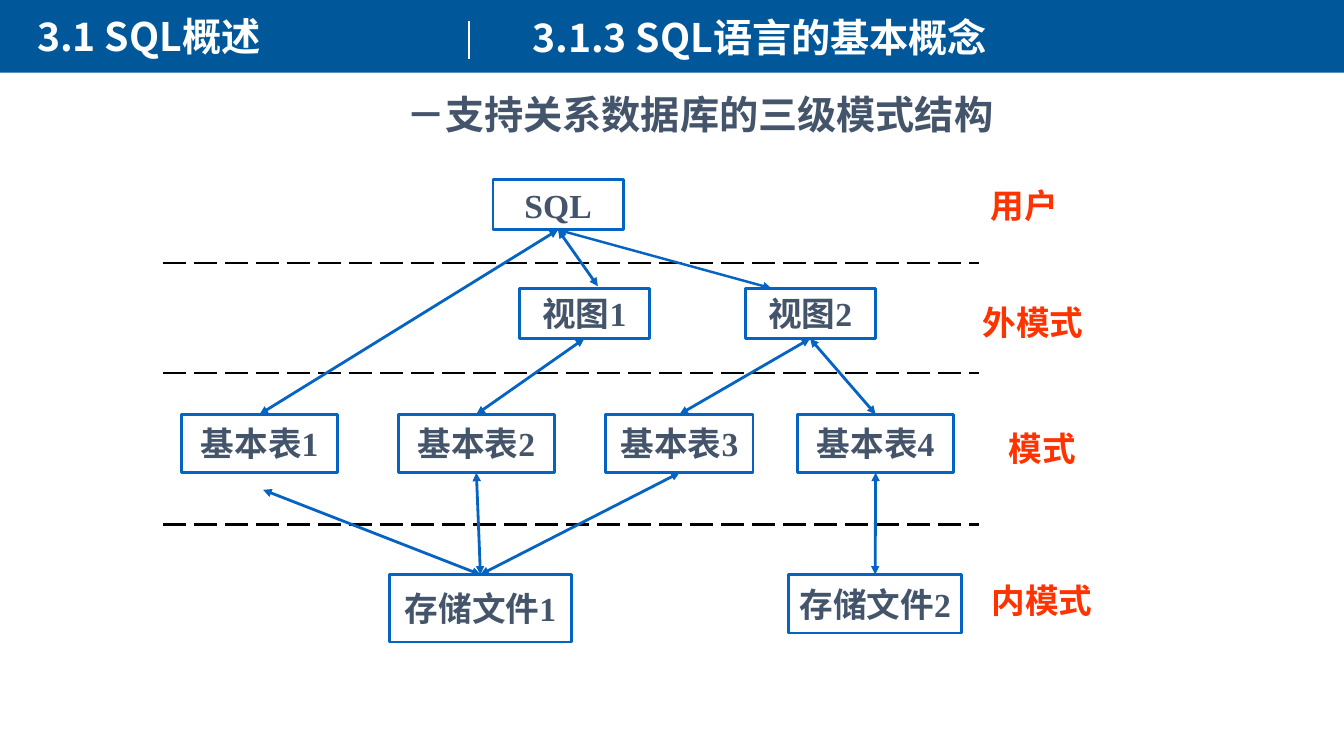
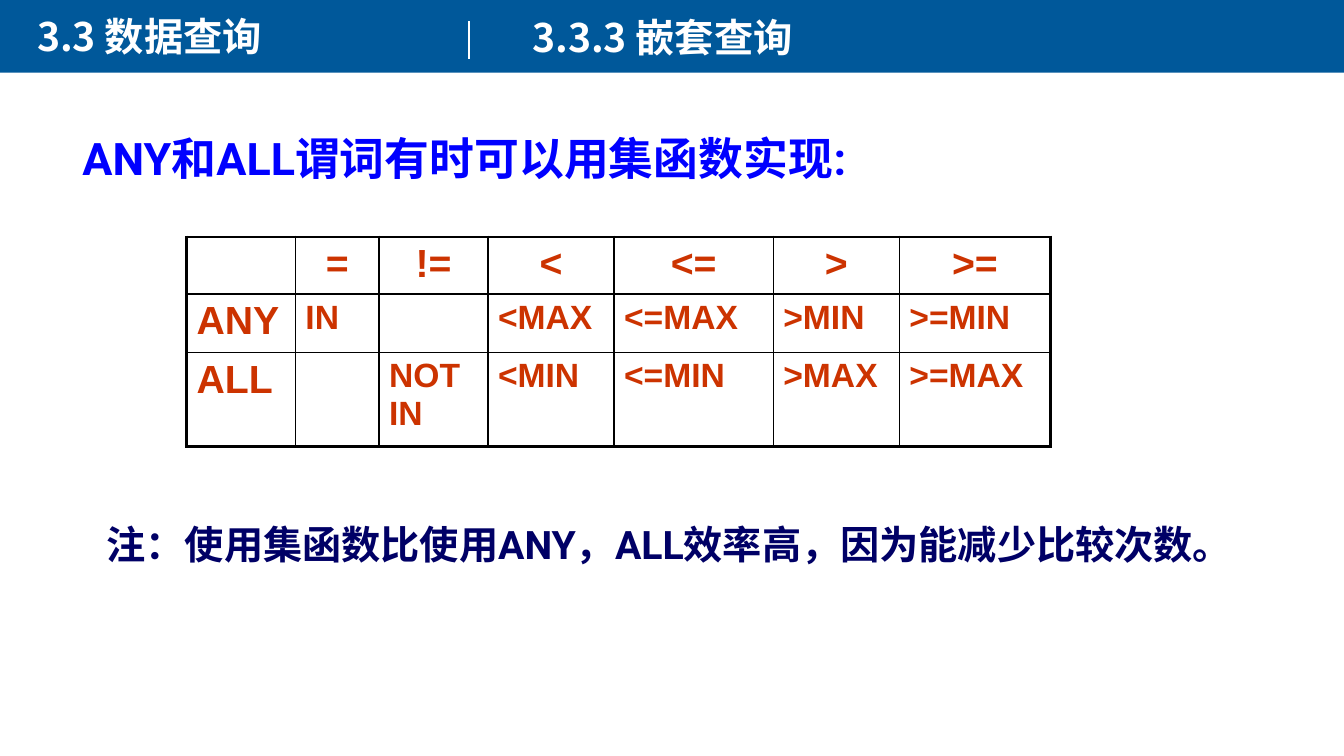
from lxml import etree
from pptx import Presentation
from pptx.dml.color import RGBColor
from pptx.enum.dml import MSO_LINE as Dash
from pptx.enum.shapes import MSO_CONNECTOR as Conn, MSO_SHAPE as Shape
from pptx.enum.text import MSO_ANCHOR as Anchor, PP_ALIGN as Align
from pptx.oxml.ns import qn
from pptx.util import Inches, Pt

# Shared look
WHITE, BLACK, BAND = "FFFFFF", "000000", "00589A"
SLATE, BLUE, RED, RUST = "44546A", "0563C1", "FF3300", "CC3300"
SANS, SERIF = "Noto Sans CJK SC", "Times New Roman"


def rgb(code):
    return RGBColor.from_string(code)


def style(para, size, color, face, align=None):
    font = para.font
    font.size, font.bold, font.name = Pt(size), True, face
    font.color.rgb = rgb(color)
    etree.SubElement(font._element, qn("a:ea")).set("typeface", SANS)
    if align is not None:
        para.alignment = align


def label(slide, text, area, size, color, face, align=None, wrap=True):
    frame = slide.shapes.add_textbox(*map(Inches, area)).text_frame
    frame.word_wrap = wrap
    if align is not None:
        frame.vertical_anchor = Anchor.MIDDLE
    para = frame.paragraphs[0]
    para.text = text
    style(para, size, color, face, align)
    return para


def block(slide, area):
    shape = slide.shapes.add_shape(Shape.RECTANGLE, *map(Inches, area))
    shape.shadow.inherit = False
    return shape


def line(slide, start, stop, color, width):
    ends = map(Inches, (*start, *stop))
    conn = slide.shapes.add_connector(Conn.STRAIGHT, *ends)
    conn.line.color.rgb = rgb(color)
    conn.line.width = Pt(width)
    etree.SubElement(conn._element.spPr, qn("a:effectLst"))
    return conn


def header(slide, part, topic):
    band = block(slide, (0, -0.02, 13.33, 0.74))
    band.fill.solid()
    band.fill.fore_color.rgb = rgb(BAND)
    band.line.fill.background()
    label(slide, part, (0.27, 0.07, 5.53, 0.57), 28, WHITE, SANS)
    label(slide, topic, (5.18, 0.08, 8.15, 0.57), 28, WHITE, SANS)
    line(slide, (4.65, 0.21), (4.65, 0.59), WHITE, 1.5)


# Schema diagram
def node(slide, text, area):
    shape = block(slide, area)
    shape.fill.background()
    shape.line.color.rgb = rgb(BLUE)
    shape.line.width = Pt(2)
    frame = shape.text_frame
    frame.word_wrap = False
    frame.vertical_anchor = Anchor.MIDDLE
    para = frame.paragraphs[0]
    para.text = text
    style(para, 24, SLATE, SERIF, Align.CENTER)
    return shape


def link(slide, nodes, upper, lower, width=2):
    """Join a node's bottom to a node's top; an end may also be a free point."""
    start, stop = ((0, 0) if end in nodes else end for end in (upper, lower))
    conn = line(slide, start, stop, BLUE, width)
    if upper in nodes:
        conn.begin_connect(nodes[upper], 2)
    if lower in nodes:
        conn.end_connect(nodes[lower], 0)
    pen = conn.line._get_or_add_ln()
    for tag in ("a:headEnd", "a:tailEnd"):
        etree.SubElement(pen, qn(tag)).set("type", "triangle")


def levels(slide):
    header(slide, "3.1 SQL概述", "3.1.3 SQL语言的基本概念")
    label(slide, "－支持关系数据库的三级模式结构", (3.91, 0.84, 6.06, 0.57),
          28, SLATE, SERIF, Align.CENTER, False)

    areas = {
        "SQL": (4.89, 1.78, 1.29, 0.5),
        "视图1": (5.15, 2.86, 1.29, 0.5),
        "视图2": (7.39, 2.86, 1.29, 0.5),
        "基本表1": (1.8, 4.11, 1.55, 0.58),
        "基本表2": (3.95, 4.11, 1.55, 0.58),
        "基本表3": (6.01, 4.11, 1.46, 0.58),
        "基本表4": (7.91, 4.11, 1.55, 0.58),
        "存储文件1": (3.86, 5.7, 1.81, 0.67),
        "存储文件2": (7.82, 5.7, 1.72, 0.58),
    }
    nodes = {text: node(slide, text, area) for text, area in areas.items()}

    for y in (2.61, 3.7, 5.2):
        line(slide, (1.62, y), (9.71, y), BLACK, 2).line.dash_style = Dash.LONG_DASH

    for upper, lower in (
        ("SQL", (5.93, 2.84)), ("SQL", "基本表1"),
        ("视图1", "基本表2"), ("视图2", "基本表3"), ("视图2", "基本表4"),
        ((2.61, 4.86), "存储文件1"), ("基本表2", "存储文件1"),
        ("基本表3", "存储文件1"), ("基本表4", "存储文件2"),
    ):
        link(slide, nodes, upper, lower)
    link(slide, nodes, "SQL", (7.65, 2.86), 1.75)

    for text, x, y, wide in (
        ("用户", 9.71, 1.78, 0.9), ("外模式", 9.64, 2.95, 1.21),
        ("模式", 9.9, 4.2, 0.87), ("内模式", 9.73, 5.7, 1.21),
    ):
        label(slide, text, (x, y, wide, 0.5), 24, RED, SERIF, Align.CENTER, False)


# Predicate table
def border(cell, side, width):
    pen = etree.SubElement(cell._tc.get_or_add_tcPr(), qn("a:ln" + side))
    pen.set("w", str(Pt(width)))
    fill = etree.SubElement(pen, qn("a:solidFill"))
    etree.SubElement(fill, qn("a:srgbClr")).set("val", BLACK)


def grid(slide, rows, wides, highs, left, top):
    area = map(Inches, (left, top, sum(wides), sum(highs)))
    table = slide.shapes.add_table(len(rows), len(wides), *area).table
    table.first_row = table.horz_banding = False
    for col, wide in zip(table.columns, wides):
        col.width = Inches(wide)
    for row, high in zip(table.rows, highs):
        row.height = Inches(high)
    for r, row in enumerate(rows):
        for c, text in enumerate(row):
            cell = table.cell(r, c)
            outer = {"L": c == 0, "R": c == len(wides) - 1,
                     "T": r == 0, "B": r == len(rows) - 1}
            for side, edge in outer.items():
                border(cell, side, 2.25 if edge else 1)
            cell.fill.background()
            para = cell.text_frame.paragraphs[0]
            para.text = text
            style(para, 24 if r and c else 28, RUST, "Arial",
                  Align.LEFT if r else Align.CENTER)


def nested(slide):
    header(slide, "3.3 数据查询", "3.3.3 嵌套查询")
    label(slide, "ANY和ALL谓词有时可以用集函数实现:",
          (0.72, 1.25, 8.7, 0.63), 32, "0000FF", "Roboto")
    rows = (
        ("", "=", "!=", "<", "<=", ">", ">="),
        ("ANY", "IN", "", "<MAX", "<=MAX", ">MIN", ">=MIN"),
        ("ALL", "", "NOT IN", "<MIN", "<=MIN", ">MAX", ">=MAX"),
    )
    grid(slide, rows, (1.08, 0.83, 1.08, 1.25, 1.58, 1.25, 1.5),
         (0.55, 0.58, 0.93), 1.85, 2.35)
    note = label(slide, "注：使用集函数比使用ANY，ALL效率高，因为能减少比较次数。",
                 (0.96, 5.17, 11.26, 1.33), 28, "000066", "Roboto")
    note.line_spacing = 0.9
    props = note._p.get_or_add_pPr()
    props.set("marL", str(Inches(0.25)))
    props.set("indent", str(Inches(-0.25)))


def main():
    deck = Presentation()
    deck.slide_width, deck.slide_height = Inches(13.33), Inches(7.5)
    for build in (levels, nested):
        build(deck.slides.add_slide(deck.slide_layouts[6]))
    deck.save("out.pptx")


if __name__ == "__main__":
    main()
